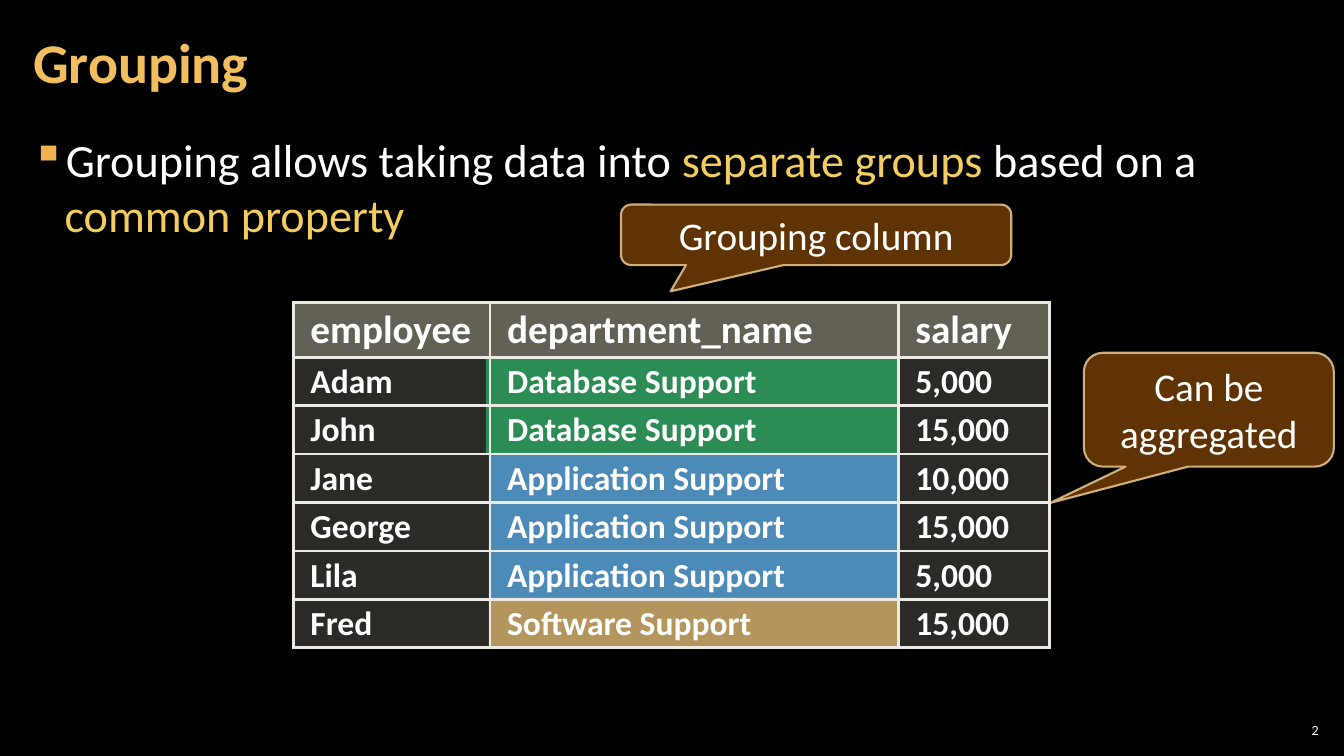
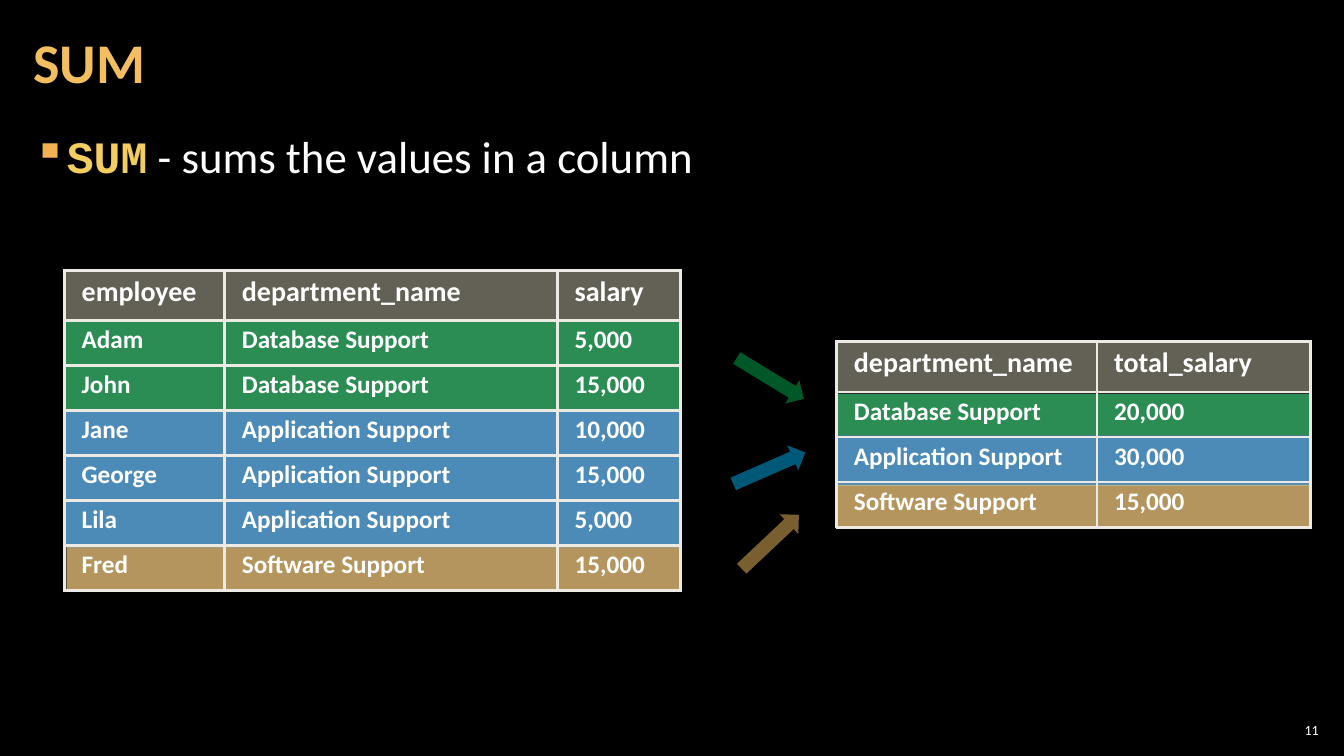
"""Build two slides on grouping rows and summing a column."""
from typing import NamedTuple

from lxml import etree
from pptx import Presentation
from pptx.dml.color import RGBColor
from pptx.enum import shapes, text
from pptx.oxml import ns
from pptx.util import Inches, Pt

FONT = "Calibri"
CODE_FONT = "Courier New"
BLACK = RGBColor(0x00, 0x00, 0x00)
WHITE = RGBColor(0xFF, 0xFF, 0xFF)
GOLD = RGBColor(0xF3, 0xBE, 0x60)
YELLOW = RGBColor(0xF3, 0xCD, 0x60)
ORANGE = RGBColor(0xF2, 0xB2, 0x54)
GREEN = RGBColor(0x00, 0xB0, 0x50)
BLUE = RGBColor(0x3B, 0xAB, 0xFF)
CYAN = RGBColor(0x00, 0xB0, 0xF0)
BROWN = RGBColor(0x66, 0x36, 0x06)
CREAM = RGBColor(0xF8, 0xD4, 0x9E)
HEADER = RGBColor(0xC6, 0xC0, 0xAA)
CELL = RGBColor(0xD9, 0xD5, 0xC7)
BORDER = RGBColor(0xEC, 0xEA, 0xE3)


class Box(NamedTuple):
    """A place on the slide in inches."""
    left: float
    top: float
    width: float
    height: float

    def lengths(self) -> tuple:
        """Return the four measures as lengths."""
        return tuple(Inches(measure) for measure in self)


class Span(NamedTuple):
    """A piece of the bullet line."""
    words: str
    color: RGBColor = WHITE
    font: str = FONT
    bold: bool = False


class Band(NamedTuple):
    """A coloured strip behind the rows of one group."""
    box: Box
    color: RGBColor


class Callout(NamedTuple):
    """A speech bubble and the place its tail points to."""
    box: Box
    words: str
    tail: tuple[float, float]


class Arrow(NamedTuple):
    """A block arrow from a group to its total."""
    left: float
    top: float
    angle: float
    color: RGBColor


class Grid(NamedTuple):
    """A table with a header row and equal body rows."""
    left: float
    top: float
    height: float
    header_height: float
    columns: tuple[float, ...]
    rows: tuple[tuple[str, ...], ...]
    header_size: int
    size: int


EMPLOYEES = (
    ("employee", "department_name", "salary"),
    ("Adam", "Database Support", "5,000"),
    ("John", "Database Support", "15,000"),
    ("Jane", "Application Support", "10,000"),
    ("George", "Application Support", "15,000"),
    ("Lila", "Application Support", "5,000"),
    ("Fred", "Software Support", "15,000"),
)
TOTALS = (
    ("department_name", "total_salary"),
    ("Database Support", "20,000"),
    ("Application Support", "30,000"),
    ("Software Support", "15,000"),
)


def set_alpha(fill_parent, percent: int) -> None:
    """Make the solid fill directly under an element translucent."""
    color = fill_parent.find(ns.qn("a:solidFill")).find(ns.qn("a:srgbClr"))
    etree.SubElement(color, ns.qn("a:alpha")).set("val", str(percent * 1000))


def set_font(font, size: float, color: RGBColor = WHITE, bold: bool = False) -> None:
    """Apply the shared typeface with a size, colour and weight."""
    font.name, font.size, font.bold = FONT, Pt(size), bold
    font.color.rgb = color


def set_margins(frame, side: float, end: float) -> None:
    """Set the side margins and the top and bottom margins."""
    frame.margin_left = frame.margin_right = Inches(side)
    frame.margin_top = frame.margin_bottom = Inches(end)


def add_filled(slide, kind, box: Box, color: RGBColor, alpha: int):
    """Add a translucent shape without outline or shadow."""
    shape = slide.shapes.add_shape(kind, *box.lengths())
    shape.shadow.inherit = False
    shape.fill.solid()
    shape.fill.fore_color.rgb = color
    set_alpha(shape.element.spPr, alpha)
    shape.line.fill.background()
    return shape


def add_titled_slide(deck, heading: str, number: str):
    """Add a slide with its title and slide number."""
    slide = deck.slides.add_slide(deck.slide_layouts[5])
    title = slide.shapes.title
    title.left, title.top, title.width, title.height = Box(0.21, 0.04, 10.47, 1.21).lengths()
    frame = title.text_frame
    frame.text = heading
    frame.auto_size = text.MSO_AUTO_SIZE.NONE
    frame.vertical_anchor = text.MSO_ANCHOR.MIDDLE
    set_margins(frame, 0.12, 0.04)
    line = frame.paragraphs[0]
    line.alignment = text.PP_ALIGN.LEFT
    line.line_spacing = 0.9
    set_font(line.font, 40, GOLD, True)

    frame = slide.shapes.add_textbox(*Box(12.65, 7.14, 0.47, 0.21).lengths()).text_frame
    frame.text = number
    frame.word_wrap = True
    frame.vertical_anchor = text.MSO_ANCHOR.MIDDLE
    set_margins(frame, 0.04, 0.04)
    line = frame.paragraphs[0]
    line.alignment = text.PP_ALIGN.RIGHT
    set_font(line.font, 10)
    return slide


def add_bullet(slide, box: Box, size: int, spans: tuple[Span, ...]) -> None:
    """Add a bulleted line made of differently styled spans."""
    frame = slide.shapes.add_textbox(*box.lengths()).text_frame
    frame.word_wrap = True
    set_margins(frame, 0.12, 0.04)
    line = frame.paragraphs[0]
    line.space_after = Pt(6)
    properties = line._p.get_or_add_pPr()
    properties.set("marL", str(Inches(0.33)))
    properties.set("indent", str(-Inches(0.33)))
    bullet_color = etree.SubElement(properties, ns.qn("a:buClr"))
    etree.SubElement(bullet_color, ns.qn("a:srgbClr")).set("val", str(ORANGE))
    etree.SubElement(properties, ns.qn("a:buChar")).set("char", "▪")
    line.font.size = Pt(size)
    for span in spans:
        run = line.add_run()
        run.text = span.words
        run.font.name, run.font.bold = span.font, span.bold
        run.font.color.rgb = span.color


def add_bands(slide, bands: tuple[Band, ...]) -> None:
    """Draw the strips that colour the groups."""
    for band in bands:
        add_filled(slide, shapes.MSO_SHAPE.RECTANGLE, band.box, band.color, 70)


def add_callout(slide, callout: Callout) -> None:
    """Draw a speech bubble with centred words."""
    bubble = add_filled(slide, shapes.MSO_SHAPE.ROUNDED_RECTANGULAR_CALLOUT,
                        callout.box, BROWN, 95)
    for index, value in enumerate((*callout.tail, 0.167)):
        bubble.adjustments[index] = value
    bubble.line.color.rgb = CREAM
    bubble.line.width = Pt(1.5)
    set_alpha(bubble.element.spPr.find(ns.qn("a:ln")), 80)
    frame = bubble.text_frame
    frame.text = callout.words
    frame.word_wrap = True
    frame.vertical_anchor = text.MSO_ANCHOR.MIDDLE
    line = frame.paragraphs[0]
    line.alignment = text.PP_ALIGN.CENTER
    set_font(line.font, 28)


def add_arrow(slide, arrow: Arrow) -> None:
    """Draw a turned block arrow."""
    pointer = add_filled(slide, shapes.MSO_SHAPE.RIGHT_ARROW,
                         Box(arrow.left, arrow.top, 0.78, 0.27), arrow.color, 50)
    pointer.rotation = arrow.angle


def add_borders(properties) -> None:
    """Give a cell the same line on all four sides."""
    for index, side in enumerate(("lnL", "lnR", "lnT", "lnB")):
        edge = etree.Element(ns.qn(f"a:{side}"), w=str(Pt(2.25)))
        fill = etree.SubElement(edge, ns.qn("a:solidFill"))
        etree.SubElement(fill, ns.qn("a:srgbClr")).set("val", str(BORDER))
        properties.insert(index, edge)


def add_grid(slide, grid: Grid) -> None:
    """Draw a table with translucent cells."""
    box = Box(grid.left, grid.top, sum(grid.columns), grid.height)
    table = slide.shapes.add_table(len(grid.rows), len(grid.columns), *box.lengths()).table
    table.horz_banding = False
    for column, width in zip(table.columns, grid.columns):
        column.width = Inches(width)
    row_height = (grid.height - grid.header_height) / (len(grid.rows) - 1)
    for row, values in enumerate(grid.rows):
        is_header = row == 0
        table.rows[row].height = Inches(grid.header_height if is_header else row_height)
        for column, value in enumerate(values):
            cell = table.cell(row, column)
            cell.fill.solid()
            cell.fill.fore_color.rgb = HEADER if is_header else CELL
            properties = cell._tc.get_or_add_tcPr()
            set_alpha(properties, 50 if is_header else 20)
            add_borders(properties)
            set_margins(cell, 0.17, 0.05)
            cell.text = value
            line = cell.text_frame.paragraphs[0]
            line.line_spacing = 0.95
            set_font(line.font, grid.header_size if is_header else grid.size, bold=True)


def build_grouping(deck) -> None:
    """Build the slide that explains grouping."""
    slide = add_titled_slide(deck, "Grouping", "2")
    add_bands(slide, (
        Band(Box(4.85, 5.93, 4.06, 0.49), GOLD),
        Band(Box(4.85, 4.49, 4.06, 1.47), BLUE),
        Band(Box(4.82, 3.56, 4.08, 0.95), GREEN),
    ))
    add_bullet(slide, Box(0.19, 1.26, 12.91, 6.09), 33, (
        Span("Grouping allows taking data into "),
        Span("separate groups ", YELLOW),
        Span("based on a "),
        Span("common property", YELLOW),
    ))
    for callout in (
        Callout(Box(6.16, 2.03, 3.87, 0.6), "Grouping column", (-0.373, 0.935)),
        Callout(Box(10.75, 3.5, 2.48, 1.13), "Can be aggregated", (-0.635, 0.819)),
    ):
        add_callout(slide, callout)
    add_grid(slide, Grid(2.91, 3, 3.42, 0.54, (1.95, 4.05, 1.5), EMPLOYEES, 28, 24))


def build_sum(deck) -> None:
    """Build the slide that sums salaries by department."""
    slide = add_titled_slide(deck, "SUM", "11")
    add_bullet(slide, Box(0.21, 1.24, 12.91, 6.09), 32, (
        Span("SUM", YELLOW, CODE_FONT, True),
        Span(" - sums the values in a column"),
    ))
    add_bands(slide, (
        Band(Box(0.66, 5.4, 6.09, 0.46), GOLD),
        Band(Box(0.64, 4.07, 6.12, 1.36), BLUE),
        Band(Box(0.64, 3.18, 6.11, 0.89), GREEN),
        Band(Box(8.3, 3.91, 4.7, 0.41), GREEN),
        Band(Box(8.31, 4.32, 4.69, 0.5), BLUE),
        Band(Box(8.29, 4.81, 4.71, 0.41), GOLD),
    ))
    for arrow in (
        Arrow(7.25, 3.62, 31.4, GREEN),
        Arrow(7.24, 4.51, 336.4, CYAN),
        Arrow(7.25, 5.24, 316.7, GOLD),
    ):
        add_arrow(slide, arrow)
    add_grid(slide, Grid(0.64, 2.68, 3.18, 0.5, (1.59, 3.3, 1.22), EMPLOYEES, 20, 18))
    add_grid(slide, Grid(8.3, 3.39, 1.84, 0.5, (2.58, 2.12), TOTALS, 20, 18))


def main() -> None:
    """Build and save the presentation."""
    deck = Presentation()
    deck.slide_width, deck.slide_height = Inches(13.33), Inches(7.5)
    backdrop = deck.slide_master.background.fill
    backdrop.solid()
    backdrop.fore_color.rgb = BLACK
    build_grouping(deck)
    build_sum(deck)
    deck.save("out.pptx")


if __name__ == "__main__":
    main()
